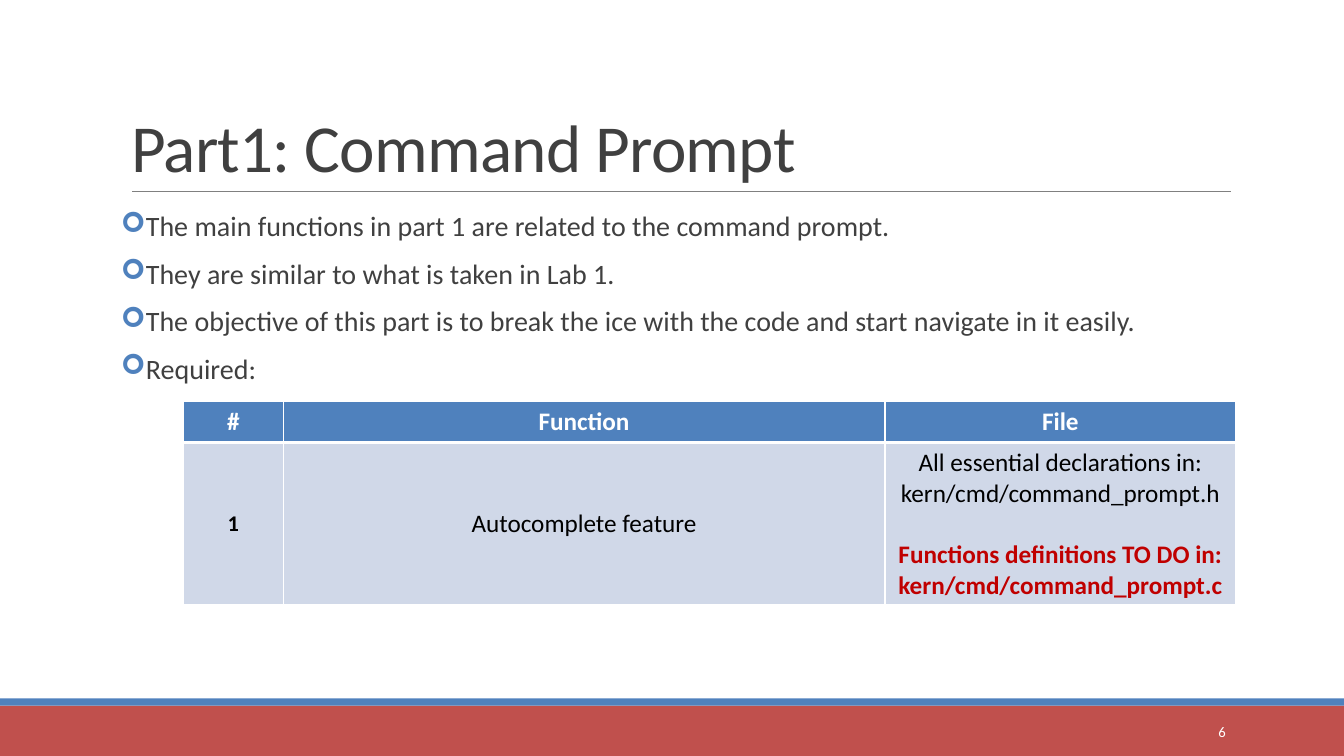
from dataclasses import dataclass
from typing import Optional

from lxml.etree import SubElement
from pptx import Presentation
from pptx.dml.color import RGBColor
from pptx.enum.shapes import MSO_CONNECTOR, MSO_SHAPE
from pptx.enum.text import MSO_ANCHOR, MSO_AUTO_SIZE, PP_ALIGN
from pptx.oxml.ns import qn
from pptx.util import Inches, Pt

# Grid: one column and one row are each a tenth of an inch
COLUMNS, ROWS = 133.33, 75
FONT = "Calibri"
BLUE, BRICK, PALE, RED = "4F81BD", "C0504D", "D0D8E8", "C00000"
WHITE, BLACK, CHARCOAL, GREY = "FFFFFF", "000000", "404040", "808080"


@dataclass
class Area:
    col: float
    row: float
    cols: float
    rows: float

    def emu(self):
        return [grid(n) for n in (self.col, self.row, self.cols, self.rows)]


@dataclass
class Band:
    area: Area
    color: str


@dataclass
class Line:
    text: str
    size: float = 18
    color: str = BLACK
    bold: bool = False
    before: float = 0


BANDS = [
    Band(Area(0, 70, COLUMNS, 5), BRICK),
    Band(Area(0, 69.3, COLUMNS, 0.7), BLUE),
]
POINTS = [
    "The main functions in part 1 are related to the command prompt.",
    "They are similar to what is taken in Lab 1.",
    "The objective of this part is to break the ice with the code and start navigate in it easily.",
    "Required:",
]
TABLE_COLS = [9.9, 59.7, 34.8]
TABLE_ROWS = [4.1, 16]
HEADER = [[Line(name, color=WHITE, bold=True)] for name in ("#", "Function", "File")]
TASK = [
    [Line("1", size=16, bold=True)],
    [Line("Autocomplete feature")],
    [
        Line("All essential declarations in:"),
        Line("kern/cmd/command_prompt.h"),
        Line("Functions definitions TO DO in:", color=RED, bold=True, before=22),
        Line("kern/cmd/command_prompt.c", color=RED, bold=True),
    ],
]


def grid(count: float) -> int:
    return Inches(count / 10)


def rgb(code: str) -> RGBColor:
    return RGBColor.from_string(code)


def write(frame, text: str, *, size: float, color: str, bold: bool = False,
          align=PP_ALIGN.LEFT, before: float = 0, after: float = 0,
          leading: float = 1.0, tracking: float = 0, bullet: Optional[str] = None):
    """Fill the frame's empty first paragraph, or add another one."""
    paragraph = frame.paragraphs[0]
    if paragraph.runs:
        paragraph = frame.add_paragraph()
    paragraph.alignment = align
    paragraph.space_before, paragraph.space_after = Pt(before), Pt(after)
    paragraph.line_spacing = leading
    run = paragraph.add_run()
    run.text = text
    run.font.name, run.font.size, run.font.bold = FONT, Pt(size), bold
    run.font.color.rgb = rgb(color)
    if tracking:
        run.font._element.set("spc", str(round(tracking * 100)))
    if bullet:
        props = paragraph._p.get_or_add_pPr()
        props.set("marL", str(grid(1)))
        props.set("indent", str(-grid(1)))
        SubElement(SubElement(props, qn("a:buClr")), qn("a:srgbClr"), val=BLUE)
        SubElement(props, qn("a:buFont"), typeface="Wingdings")
        SubElement(props, qn("a:buChar"), char=bullet)


def add_frame(slide, area: Area, anchor=MSO_ANCHOR.TOP, side: float = 1):
    frame = slide.shapes.add_textbox(*area.emu()).text_frame
    frame.word_wrap = True
    frame.vertical_anchor = anchor
    frame.margin_left = frame.margin_right = grid(side)
    return frame


def add_band(slide, band: Band):
    shape = slide.shapes.add_shape(MSO_SHAPE.RECTANGLE, *band.area.emu())
    shape.shadow.inherit = False
    shape.fill.solid()
    shape.fill.fore_color.rgb = rgb(band.color)
    shape.line.fill.background()


def add_rule(slide, start: float, end: float, row: float):
    rule = slide.shapes.add_connector(
        MSO_CONNECTOR.STRAIGHT, grid(start), grid(row), grid(end), grid(row))
    rule.line.color.rgb = rgb(GREY)
    rule.line.width = Pt(0.5)
    SubElement(rule._element.spPr, qn("a:effectLst"))


def set_borders(cell, top: float, bottom: float):
    props = cell._tc.get_or_add_tcPr()
    for place, (side, width) in enumerate(
            [("L", 1), ("R", 1), ("T", top), ("B", bottom)]):
        border = SubElement(props, qn(f"a:ln{side}"), w=str(Pt(width)))
        SubElement(SubElement(border, qn("a:solidFill")), qn("a:srgbClr"), val=WHITE)
        props.insert(place, border)


def fill_cell(cell, lines: list[Line], fill: str, top: float, bottom: float):
    cell.fill.solid()
    cell.fill.fore_color.rgb = rgb(fill)
    cell.vertical_anchor = MSO_ANCHOR.MIDDLE
    set_borders(cell, top, bottom)
    for line in lines:
        write(cell.text_frame, line.text, size=line.size, color=line.color,
              bold=line.bold, before=line.before, align=PP_ALIGN.CENTER)


def add_function_table(slide):
    area = Area(18.2, 39.8, sum(TABLE_COLS), sum(TABLE_ROWS))
    table = slide.shapes.add_table(2, len(TABLE_COLS), *area.emu()).table
    table.horz_banding = False
    for column, width in zip(table.columns, TABLE_COLS):
        column.width = grid(width)
    for row, height in zip(table.rows, TABLE_ROWS):
        row.height = grid(height)
    for col, (heading, task) in enumerate(zip(HEADER, TASK)):
        fill_cell(table.cell(0, col), heading, BLUE, top=1, bottom=3)
        fill_cell(table.cell(1, col), task, PALE, top=3, bottom=1)


def add_title(slide, text: str):
    title = slide.shapes.title
    title.left, title.top, title.width, title.height = Area(12, 3.1, 121.3, 15.9).emu()
    frame = title.text_frame
    frame.auto_size = MSO_AUTO_SIZE.NONE
    frame.vertical_anchor = MSO_ANCHOR.BOTTOM
    write(frame, text, size=48, color=CHARCOAL, leading=0.85, tracking=-0.5)


def main():
    deck = Presentation()
    deck.slide_width, deck.slide_height = grid(COLUMNS), grid(ROWS)
    slide = deck.slides.add_slide(deck.slide_layouts[5])

    # Footer bands and title rule
    for band in BANDS:
        add_band(slide, band)
    add_rule(slide, 13.1, 122.1, 19)

    # Title and bullet points
    add_title(slide, "Part1: Command Prompt")
    points = add_frame(slide, Area(12, 20.2, 121.3, 44), side=0)
    for point in POINTS:
        write(points, point, size=20, color=CHARCOAL, before=8, after=2, bullet="➢")

    # Slide number
    number = add_frame(slide, Area(108.3, 70.6, 14.3, 4), MSO_ANCHOR.MIDDLE)
    write(number, "6", size=10.5, color=WHITE, align=PP_ALIGN.RIGHT)

    # Required functions
    add_function_table(slide)
    deck.save("out.pptx")


if __name__ == "__main__":
    main()
